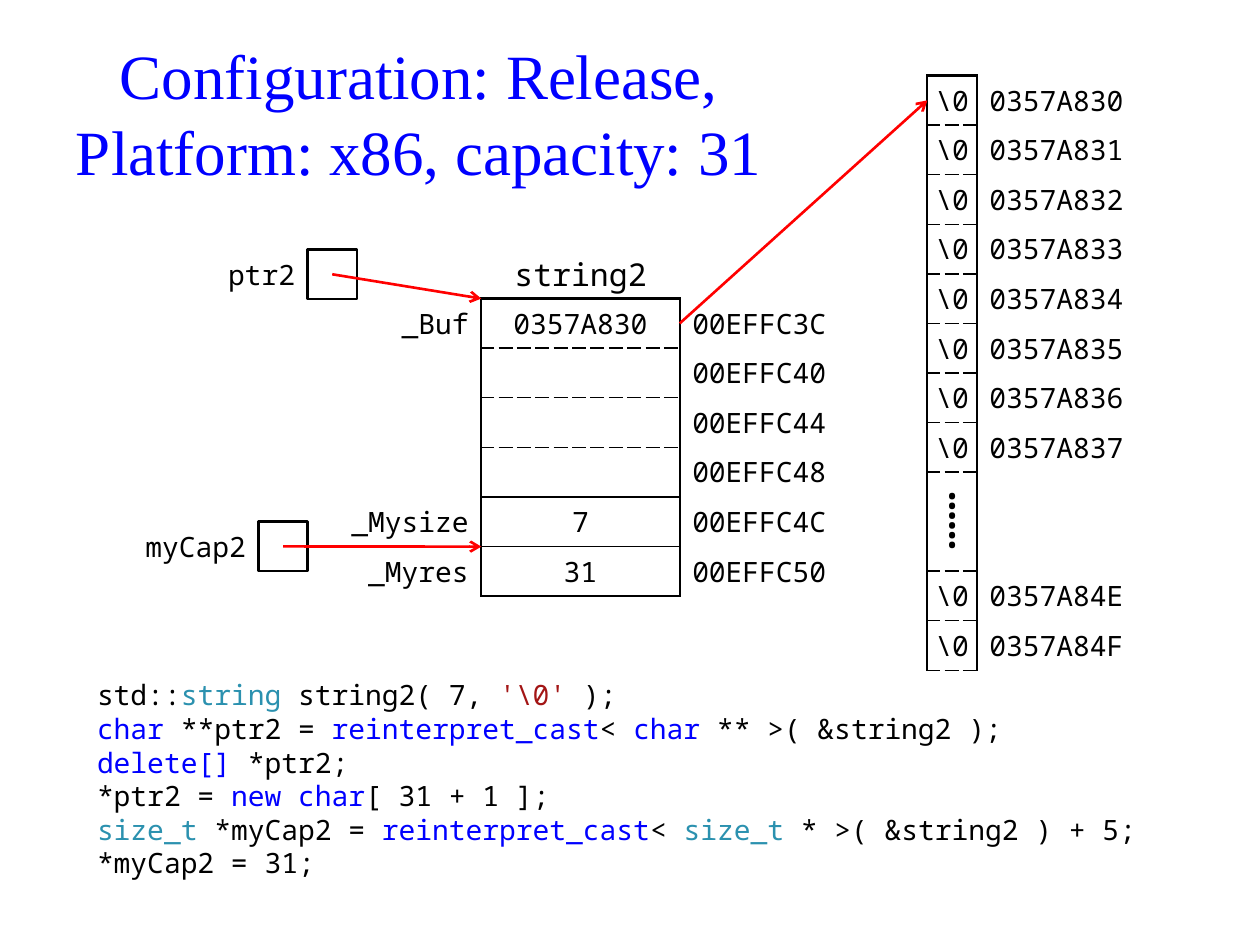
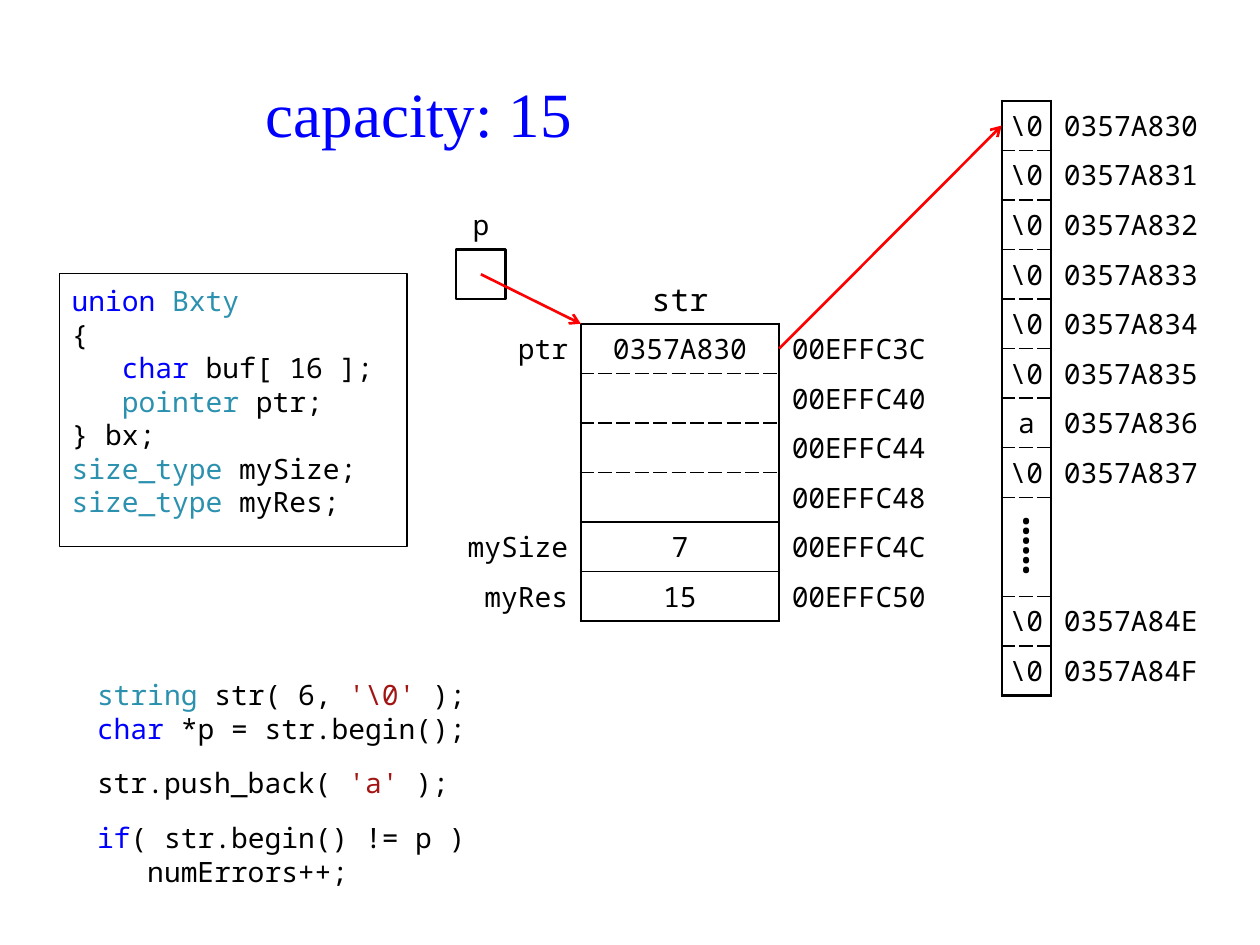
from lxml import etree
from pptx import Presentation
from pptx.dml.color import RGBColor
from pptx.enum.shapes import MSO_CONNECTOR, MSO_SHAPE
from pptx.enum.text import MSO_ANCHOR, MSO_AUTO_SIZE, PP_ALIGN
from pptx.oxml.ns import qn
from pptx.util import Inches, Pt

LEFT, CENTER, RIGHT = PP_ALIGN.LEFT, PP_ALIGN.CENTER, PP_ALIGN.RIGHT
TOP, MIDDLE = MSO_ANCHOR.TOP, MSO_ANCHOR.MIDDLE
NO_AUTOFIT = MSO_AUTO_SIZE.NONE
RECTANGLE, STRAIGHT = MSO_SHAPE.RECTANGLE, MSO_CONNECTOR.STRAIGHT

COLORS = {"text": "000000", "title": "0000FF", "keyword": "0000FF",
          "type": "2B91AF", "literal": "A31515", "line": "000000",
          "arrow": "FF0000"}
CODE_FONT, TITLE_FONT = "Noto Sans Mono", "Times New Roman"
NO_GRID_STYLE = "{2D5ABB26-0587-4C30-8999-92F81FD0307C}"

CELL = Inches(1 / 2.54)
TITLE_BOX = [Inches(n) for n in (0.47, 0.4, 5.71, 0.98)]
CODE_BOX = [Inches(n) for n in (0.67, 5.33, 8.66, 1.77)]
VALUE_WIDTH, ADDRESS_WIDTH = 4 * CELL, round(3.5 * CELL)

THICK, THIN, DASHED = (1.5, "solid"), (1, "solid"), (1, "sysDash")
STRING_EDGES = [THICK, DASHED, DASHED, DASHED, THIN, THIN, THICK]
STRING_START, WORD_SIZE = 0x00EFFC3C, 4
BUFFER_START = 0x0357A830
BUFFER_OFFSETS = [0, 1, 2, 3, 4, 5, 6, 7, None, None, 30, 31]
GAP_ROW = BUFFER_OFFSETS.index(None)

LABEL_INSETS = (0.1, 0.04, 0.1, 0.04)
VALUE_INSETS = (0.08, 0.04, 0.08, 0.04)
ADDRESS_INSETS = (0.1, 0.04, 0.08, 0.04)
NO_INSETS = (0, 0, 0, 0)

STRING2_CODE = [
    ["std::", ("type", "string "), "string2( 7, ", ("literal", "'\\0'"), " );"],
    [("keyword", "char "), "**ptr2 = ", ("keyword", "reinterpret_cast"), "< ",
     ("keyword", "char"), " ** >( &string2 );"],
    [("keyword", "delete[]"), " *ptr2;"],
    ["*ptr2 = ", ("keyword", "new char"), "[ 31 + 1 ];"],
    [("type", "size_t "), "*myCap2 = ", ("keyword", "reinterpret_cast"), "< ",
     ("type", "size_t"), " * >( &string2 ) + 5;"],
    ["*myCap2 = 31;"],
]
STR_CODE = [
    [("type", "string "), "str( 6, ", ("literal", "'\\0'"), " );"],
    [("keyword", "char "), "*p = str.begin();"],
    ["str.push_back( ", ("literal", "'a'"), " );"],
    [("keyword", "if"), "( str.begin() != p )"],
    ["   numErrors++;"],
]
UNION_CODE = [
    [("keyword", "union "), ("type", "Bxty")],
    ["{"],
    ["   ", ("keyword", "char "), "buf[ 16 ];"],
    ["   ", ("type", "pointer "), "ptr;"],
    ["} bx;"],
    [("type", "size_type "), "mySize;"],
    [("type", "size_type "), "myRes;"],
]


def rgb(name):
    return RGBColor.from_string(COLORS[name])


def set_insets(target, insets):
    for side, inset in zip(("left", "top", "right", "bottom"), insets):
        setattr(target, f"margin_{side}", Inches(inset))


def add_span(para, text, color="text", size=16, font=CODE_FONT):
    span = para.add_run()
    span.text = text
    for name, value in {"size": Pt(size), "name": font}.items():
        setattr(span.font, name, value)
    span.font.color.rgb = rgb(color)


def write_code(frame, lines, spaced=()):
    """Write highlighted lines; those whose index is in spaced stand apart."""
    for index, line in enumerate(lines):
        para = frame.paragraphs[0] if index == 0 else frame.add_paragraph()
        properties = para._p.get_or_add_pPr()
        properties.set("marL", "0")
        properties.set("indent", "0")
        etree.SubElement(properties, qn("a:buNone"))
        gap = Pt(12 if index in spaced else 0)
        layout = {"alignment": LEFT, "line_spacing": Pt(19.2),
                  "space_before": gap, "space_after": gap}
        for name, value in layout.items():
            setattr(para, name, value)
        for part in line:
            color, text = ("text", part) if isinstance(part, str) else part
            add_span(para, text, color)


def place(shape, box):
    shape.left, shape.top, shape.width, shape.height = box


def add_page(deck, title, code, spaced=()):
    page = deck.slides.add_slide(deck.slide_layouts[1])
    heading, body = page.placeholders
    for holder, box, anchor in ((heading, TITLE_BOX, MIDDLE),
                                (body, CODE_BOX, TOP)):
        place(holder, box)
        frame = holder.text_frame
        settings = {"auto_size": NO_AUTOFIT, "word_wrap": True,
                    "vertical_anchor": anchor}
        for name, value in settings.items():
            setattr(frame, name, value)
    para = heading.text_frame.paragraphs[0]
    para.alignment = CENTER
    for index, line in enumerate(title):
        if index:
            para.add_line_break()
        add_span(para, line, "title", 36, TITLE_FONT)
    write_code(body.text_frame, code, spaced)
    return page


def add_label(page, box, text, align, size=16, insets=NO_INSETS):
    frame = page.shapes.add_textbox(*box).text_frame
    frame.word_wrap = True
    frame.vertical_anchor = MIDDLE
    set_insets(frame, insets)
    frame.paragraphs[0].alignment = align
    add_span(frame.paragraphs[0], text, size=size)


def add_outline(page, box, width):
    shape = page.shapes.add_shape(RECTANGLE, *box)
    shape.shadow.inherit = False
    shape.fill.background()
    shape.line.color.rgb = rgb("line")
    shape.line.width = Pt(width)
    return shape


def add_arrow(page, start, end):
    arrow = page.shapes.add_connector(STRAIGHT, *start, *end)
    arrow.line.color.rgb = rgb("arrow")
    arrow.line.width = Pt(1.5)
    etree.SubElement(arrow.line._get_or_add_ln(), qn("a:tailEnd"), type="arrow")
    etree.SubElement(arrow._element.spPr, qn("a:effectLst"))


def add_grid(page, left, top, widths, row_count):
    """Add an unstyled table with rows one cell high."""
    table = page.shapes.add_table(row_count, len(widths), left, top,
                                  sum(widths), row_count * CELL).table
    table.first_row = table.horz_banding = False
    table._tbl.tblPr.find(qn("a:tableStyleId")).text = NO_GRID_STYLE
    for column, width in zip(table.columns, widths):
        column.width = width
    return table


def fill_cell(cell, text, align, insets, borders, size=16, font=CODE_FONT):
    """Write one cell; borders maps sides, in the order L R T B, to lines."""
    properties = cell._tc.get_or_add_tcPr()
    for side, (width, dash) in borders.items():
        line = etree.SubElement(properties, qn(f"a:ln{side}"), w=str(Pt(width)))
        fill = etree.SubElement(line, qn("a:solidFill"))
        etree.SubElement(fill, qn("a:srgbClr"), val=COLORS["line"])
        etree.SubElement(line, qn("a:prstDash"), val=dash)
    cell.fill.background()
    cell.vertical_anchor = MIDDLE
    set_insets(cell, insets)
    para = cell.text_frame.paragraphs[0]
    para.alignment = align
    if text:
        add_span(para, text, size=size, font=font)


def boxed(edges, row):
    return {"L": THICK, "R": THICK, "T": edges[row], "B": edges[row + 1]}


def add_string(page, left, top, name, name_width, labels, label_width, values):
    """Draw a string object whose value column starts at left, top."""
    table = add_grid(page, left - label_width, top,
                     (label_width, VALUE_WIDTH, ADDRESS_WIDTH), len(values))
    for row, (label, value) in enumerate(zip(labels, values)):
        address = f"{STRING_START + WORD_SIZE * row:08X}"
        fill_cell(table.cell(row, 0), label, RIGHT, LABEL_INSETS, {"R": THICK})
        fill_cell(table.cell(row, 1), value, CENTER, VALUE_INSETS,
                  boxed(STRING_EDGES, row))
        fill_cell(table.cell(row, 2), address, LEFT, ADDRESS_INSETS,
                  {"L": THICK})
    name_left = left + (VALUE_WIDTH - name_width) // 2
    add_label(page, (name_left, top - CELL, name_width, CELL), name, CENTER, 18)


def add_buffer(page, left, top, characters, last_edge):
    """Draw the character buffer with its addresses, bytes 8 to 29 elided."""
    count = len(BUFFER_OFFSETS)
    edges = [THICK] + [DASHED] * (count - 1) + [last_edge]
    table = add_grid(page, left, top, (CELL, ADDRESS_WIDTH), count)
    table.cell(GAP_ROW, 0).merge(table.cell(GAP_ROW + 1, 0))
    remaining = iter(characters)
    for row, offset in enumerate(BUFFER_OFFSETS):
        byte, address, style = "", "", {}
        if offset is not None:
            byte, address = next(remaining), f"{BUFFER_START + offset:08X}"
        elif row == GAP_ROW:
            byte, style = "⸽", {"size": 28, "font": TITLE_FONT}
        fill_cell(table.cell(row, 0), byte, CENTER, NO_INSETS,
                  boxed(edges, row), **style)
        fill_cell(table.cell(row, 1), address, LEFT, ADDRESS_INSETS,
                  {"L": THICK})


def add_buffer_link(page, string_left, string_top, buffer_left, buffer_top):
    add_arrow(page, (string_left + VALUE_WIDTH, string_top + CELL // 2),
              (buffer_left, buffer_top + CELL // 2))


def add_pointer(page, left, top, target):
    add_outline(page, (left, top, CELL, CELL), 1.5)
    add_arrow(page, (left + CELL // 2, top + CELL // 2), target)


def add_side_label(page, left, top, text, width):
    """Name the pointer square at left, top from its left side."""
    add_label(page, (left - width, top, width, CELL), text, RIGHT,
              insets=(0, 0, 0.1, 0))


def add_union(page, box):
    frame = add_outline(page, box, 0.75).text_frame
    frame.word_wrap = True
    frame.vertical_anchor = TOP
    set_insets(frame, (0.1, 0.08, 0, 0.05))
    write_code(frame, UNION_CODE)


def build_capacity_31(deck):
    page = add_page(deck, ["Configuration: Release,", "Platform: x86, capacity: 31"],
                    STRING2_CODE)
    left, top = string_at = Inches(3.82), Inches(2.37)
    buffer_at = Inches(7.36), Inches(0.6)
    add_string(page, left, top, "string2", 4 * CELL,
               ["_Buf", "", "", "", "_Mysize", "_Myres"], round(3.5 * CELL),
               ["0357A830", "", "", "", "7", "31"])
    add_buffer(page, *buffer_at, ["\\0"] * 10, DASHED)
    add_buffer_link(page, *string_at, *buffer_at)
    pointers = [("ptr2", Inches(2.44), Inches(1.98), 2 * CELL, 0),
                ("myCap2", Inches(2.05), Inches(4.14), round(2.5 * CELL), 5)]
    for name, x, y, width, row in pointers:
        add_side_label(page, x, y, name, width)
        add_pointer(page, x, y, (left, top + row * CELL))


def build_capacity_15(deck):
    page = add_page(deck, ["capacity: 15"], STR_CODE, spaced=(2,))
    string_at = Inches(4.61), Inches(2.57)
    buffer_at = Inches(7.95), Inches(0.8)
    add_string(page, *string_at, "str", 2 * CELL,
               ["ptr", "", "", "", "mySize", "myRes"], 3 * CELL,
               ["0357A830", "", "", "", "7", "15"])
    add_buffer(page, *buffer_at, ["\\0"] * 6 + ["a"] + ["\\0"] * 3, THICK)
    add_buffer_link(page, *string_at, *buffer_at)
    x, y = Inches(3.62), Inches(1.98)
    add_label(page, (x, y - CELL, CELL, CELL), "p", CENTER)
    add_pointer(page, x, y, string_at)
    add_union(page, [Inches(n) for n in (0.47, 2.17, 2.76, 2.17)])


def main():
    deck = Presentation()
    deck.slide_width, deck.slide_height = Inches(10), Inches(7.5)
    build_capacity_31(deck)
    build_capacity_15(deck)
    deck.save("out.pptx")


if __name__ == "__main__":
    main()
